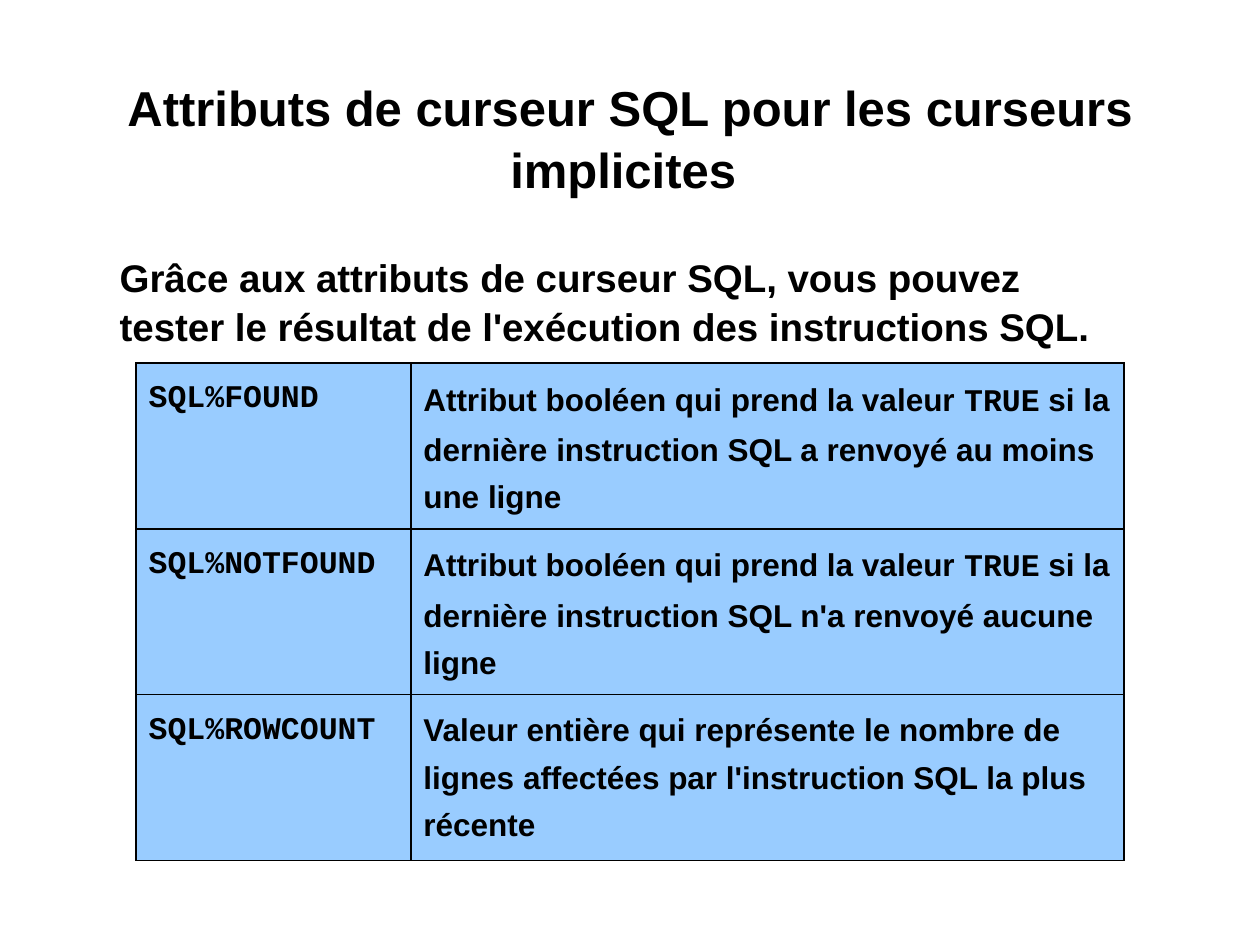
from pptx import Presentation
from pptx.dml.color import RGBColor
from pptx.enum.text import MSO_ANCHOR, PP_ALIGN
from pptx.oxml import parse_xml
from pptx.oxml.ns import nsdecls
from pptx.util import Inches, Pt

COLORS = {"ink": "000000", "cell": "99CCFF", "line": "000000"}
SANS, MONO = "Arial", "Courier New"
FRAME = {
    "margin_left": Inches(0.01),
    "margin_right": Inches(0.01),
    "margin_top": Inches(0.01),
    "margin_bottom": Inches(0.01),
    "vertical_anchor": MSO_ANCHOR.TOP,
    "word_wrap": True,
}
ROWS = [
    ("SQL%FOUND", [
        ("Attribut booléen qui prend la valeur ", SANS),
        ("TRUE", MONO),
        (" si la dernière instruction SQL a renvoyé au moins une ligne", SANS),
    ]),
    ("SQL%NOTFOUND", [
        ("Attribut booléen qui prend la valeur ", SANS),
        ("TRUE", MONO),
        (" si la dernière instruction SQL n'a renvoyé aucune ligne", SANS),
    ]),
    ("SQL%ROWCOUNT", [
        ("Valeur entière qui représente le nombre de lignes affectées "
         "par l'instruction SQL la plus récente", SANS),
    ]),
]


def apply(item, values):
    for name, value in values.items():
        setattr(item, name, value)


def write(para, parts, size, **values):
    apply(para, values)
    for text, face in parts:
        run = para.add_run()
        run.text = text
        apply(run.font, {"name": face, "size": Pt(size), "bold": True})
        run.font.color.rgb = RGBColor.from_string(COLORS["ink"])


def place(shape, box):
    apply(shape, dict(zip(("left", "top", "width", "height"), box)))
    apply(shape.text_frame, FRAME)


def add_title(slide, box):
    title = slide.shapes.title
    place(title, box)
    text = "Attributs de curseur SQL pour les curseurs implicites "
    write(title.text_frame.paragraphs[0], [(text, SANS)], 28,
          alignment=PP_ALIGN.CENTER, line_spacing=1.05)


def add_intro(slide, box):
    intro = slide.shapes.add_textbox(*box)
    place(intro, box)
    text = ("Grâce aux attributs de curseur SQL, vous pouvez tester "
            "le résultat de l'exécution des instructions SQL.")
    write(intro.text_frame.paragraphs[0], [(text, SANS)], 22,
          alignment=PP_ALIGN.LEFT, line_spacing=1.05)


def style(cell):
    props = cell._tc.get_or_add_tcPr()
    for side in ("lnL", "lnR", "lnT", "lnB"):
        props.append(parse_xml(
            f'<a:{side} {nsdecls("a")} w="{Pt(1.08)}"><a:solidFill>'
            f'<a:srgbClr val="{COLORS["line"]}"/></a:solidFill></a:{side}>'))
    cell.fill.solid()
    cell.fill.fore_color.rgb = RGBColor.from_string(COLORS["cell"])


def add_grid(slide, box):
    table = slide.shapes.add_table(len(ROWS), 2, *box).table
    apply(table, {"first_row": False, "horz_banding": False})
    table.columns[0].width = Inches(2.18)
    table.columns[1].width = box[2] - Inches(2.18)
    for row, (name, parts) in enumerate(ROWS):
        for col, runs in enumerate(([(name, MONO)], parts)):
            cell = table.cell(row, col)
            style(cell)
            write(cell.text_frame.paragraphs[0], runs, 18, line_spacing=1.35)


def main():
    deck = Presentation()
    apply(deck, {"slide_width": Inches(10), "slide_height": Inches(7.5)})
    slide = deck.slides.add_slide(deck.slide_layouts[5])
    add_title(slide, [Inches(n) for n in (1, 0.58, 8, 0.96)])
    add_intro(slide, [Inches(n) for n in (0.94, 1.99, 8.06, 0.76)])
    add_grid(slide, [Inches(n) for n in (1.08, 2.88, 7.84, 3.95)])
    deck.save("out.pptx")


if __name__ == "__main__":
    main()
